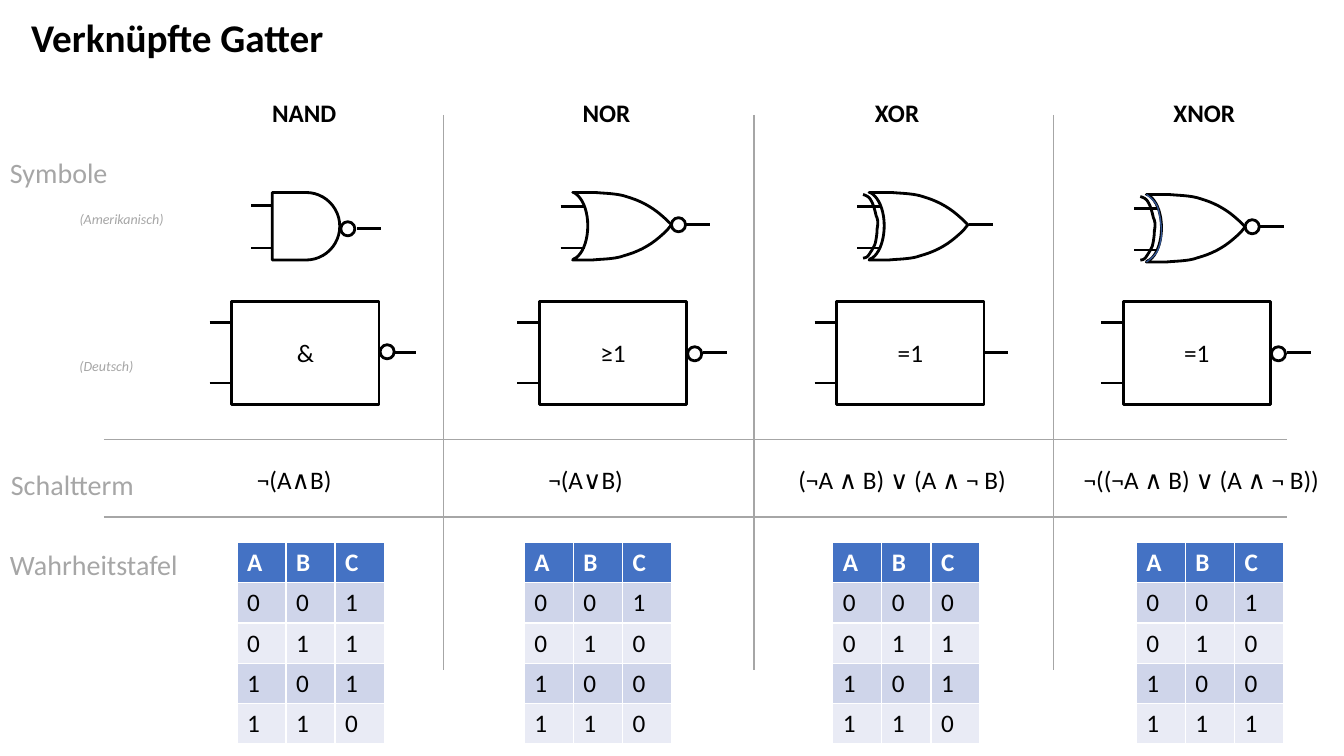
from collections import namedtuple

from lxml import etree
from pptx import Presentation
from pptx.dml.color import RGBColor
from pptx.enum.shapes import MSO_CONNECTOR, MSO_SHAPE
from pptx.enum.text import MSO_ANCHOR, MSO_AUTO_SIZE, PP_ALIGN
from pptx.oxml.ns import qn
from pptx.util import Emu, Pt

STRAIGHT = MSO_CONNECTOR.STRAIGHT
RECTANGLE = MSO_SHAPE.RECTANGLE
ELLIPSE = MSO_SHAPE.OVAL
DELAY = MSO_SHAPE.FLOWCHART_DELAY
MIDDLE = MSO_ANCHOR.MIDDLE
CENTER = PP_ALIGN.CENTER
GROW = MSO_AUTO_SIZE.SHAPE_TO_FIT_TEXT
RIGHT_SIDE = 3

EMU_PER_PX = 9144
FONT = "Calibri"
BLACK, WHITE, GREY, NAVY = "000000", "FFFFFF", "A6A6A6", "325491"
HEADER_FILL, BAND_FILLS = "4472C4", ("CFD5EA", "E9EBF5")
LEAD_LENGTH = 24
BUBBLE_SIZE = 14
CURVE_STEPS = 10

OR_BODY = [
    [(0, 0)], [(22, 0)],
    [(33, 1), (44, 1), (53, 4)], [(70, 9), (82, 16), (96, 30)],
    [(98, 32)], [(94, 37)],
    [(80, 51), (68, 58), (50, 63)], [(42, 66), (30, 66), (19, 67)],
    [(0, 67)], [(1, 66)],
    [(9, 63), (15, 49), (15, 33)], [(15, 17), (9, 4), (1, 0)],
]
EXCLUSIVE_ARC = [
    [(-6, 2)],
    [(-3, 3), (0, 4), (2, 8)], [(4, 11), (6, 18), (7, 23)],
    [(9, 27), (9, 31), (8, 36)], [(8, 41), (7, 47), (6, 51)],
    [(4, 56), (1, 60), (-1, 63)], [(-3, 65), (-5, 65), (-6, 65)],
]
BODY_ARC = [
    [(0, 0)],
    [(4, 3), (8, 6), (11, 12)], [(13, 18), (15, 30), (15, 38)],
    [(15, 45), (13, 51), (11, 56)], [(8, 61), (4, 64), (0, 67)],
]

Gate = namedtuple("Gate", "name name_box term term_box table_left outputs "
                          "sign box_left bubble_top lead_gap")
GATES = [
    Gate("NAND", (260, 85), "¬(A∧B)", (245, 97), 235, "1110", "&", 230, 342, 159),
    Gate("NOR", (568, 68), "¬(A∨B)", (534, 97), 520, "1000", "≥1", 535, 344, 162),
    Gate("XOR", (858, 64), "(¬A ∧ B) ∨ (A ∧ ¬ B)", (782, 230), 826, "0110",
         "=1", 830, None, None),
    Gate("XNOR", (1154, 82), "¬((¬A ∧ B) ∨ (A ∧ ¬ B))", (1065, 263), 1127, "1001",
         "=1", 1114, 344, 162),
]


def px(value):
    return Emu(round(value * EMU_PER_PX))


def color(value):
    return RGBColor.from_string(value)


def style_text(paragraph, size, text_color, bold=False, italic=False):
    for run in paragraph.runs:
        font = run.font
        font.name, font.size = FONT, Pt(size)
        font.bold, font.italic = bold, italic
        font.color.rgb = color(text_color)


def style_outline(shape, line_color=BLACK, width=2, fill=WHITE):
    shape.shadow.inherit = False
    shape.line.color.rgb = color(line_color)
    shape.line.width = Pt(width)
    if fill:
        shape.fill.solid()
        shape.fill.fore_color.rgb = color(fill)
    else:
        shape.fill.background()


def add_label(slide, text, left, top, width, height, size,
              text_color=BLACK, bold=False, italic=False):
    frame = slide.shapes.add_textbox(px(left), px(top), px(width), px(height)).text_frame
    frame.word_wrap = False
    frame.auto_size = GROW
    frame.text = text
    style_text(frame.paragraphs[0], size, text_color, bold, italic)


def add_line(slide, x1, y1, x2, y2, line_color=BLACK, width=2):
    line = slide.shapes.add_connector(STRAIGHT, px(x1), px(y1), px(x2), px(y2))
    line.line.color.rgb = color(line_color)
    line.line.width = Pt(width)
    etree.SubElement(line._element.spPr, qn("a:effectLst"))
    return line


def add_lead(slide, left, y):
    return add_line(slide, left, y, left + LEAD_LENGTH, y)


def add_solid(slide, kind, left, top, width, height):
    shape = slide.shapes.add_shape(kind, px(left), px(top), px(width), px(height))
    style_outline(shape)
    return shape


def add_bubble(slide, left, top):
    add_solid(slide, ELLIPSE, left, top, BUBBLE_SIZE, BUBBLE_SIZE)


def bezier_points(start, first, second, end):
    for step in range(1, CURVE_STEPS + 1):
        t = step / CURVE_STEPS
        weights = ((1 - t) ** 3, 3 * t * (1 - t) ** 2, 3 * t * t * (1 - t), t ** 3)
        yield tuple(sum(weight * point[axis] for weight, point
                        in zip(weights, (start, first, second, end)))
                    for axis in (0, 1))


def add_outline(slide, segments, left, top, closed=False, **style):
    points = list(segments[0])
    for segment in segments[1:]:
        if len(segment) == 3:
            points.extend(bezier_points(points[-1], *segment))
        else:
            points.extend(segment)
    corners = [(px(left + x), px(top + y)) for x, y in points]
    builder = slide.shapes.build_freeform(*corners[0])
    builder.add_line_segments(corners[1:], close=closed)
    style_outline(builder.convert_to_shape(), **style)


def add_and_symbol(slide, left, top):
    for offset in (13, 55):
        add_lead(slide, left - 21, top + offset)
    add_lead(slide, left + 84, top + 36)
    add_bubble(slide, left + 68, top + 29)
    add_solid(slide, DELAY, left, top, 67, 67)


def add_or_symbol(slide, left, top, exclusive=False, negated=False):
    add_outline(slide, OR_BODY, left, top, closed=True)
    for offset in (14, 55):
        add_lead(slide, left - 12, top + offset)
    add_lead(slide, left + (112 if negated else 99), top + 32)
    if negated:
        add_bubble(slide, left + 98, top + 25)
    if exclusive:
        add_outline(slide, EXCLUSIVE_ARC, left, top, fill=None)
    if exclusive and negated:
        add_outline(slide, BODY_ARC, left, top, line_color=NAVY, width=1, fill=None)


def add_box_symbol(slide, gate):
    left = gate.box_left
    for y in (320, 380):
        add_lead(slide, left - 22, y)
    box = add_solid(slide, RECTANGLE, left, 299, 146, 102)
    frame = box.text_frame
    frame.text = gate.sign
    frame.vertical_anchor = MIDDLE
    frame.paragraphs[0].alignment = CENTER
    style_text(frame.paragraphs[0], 18, BLACK)
    if gate.bubble_top:
        add_lead(slide, left + gate.lead_gap, 350)
        add_bubble(slide, left + 147, gate.bubble_top)
    else:
        add_lead(slide, left + 146, 350).begin_connect(box, RIGHT_SIDE)


def add_truth_table(slide, left, outputs):
    rows = ["ABC"] + [f"{index:02b}{output}" for index, output in enumerate(outputs)]
    table = slide.shapes.add_table(5, 3, px(left), px(538), px(146), px(200)).table
    for row_index, row in enumerate(rows):
        header = row_index == 0
        fill = HEADER_FILL if header else BAND_FILLS[(row_index - 1) % 2]
        for column_index, value in enumerate(row):
            cell = table.cell(row_index, column_index)
            cell.text = value
            cell.fill.solid()
            cell.fill.fore_color.rgb = color(fill)
            style_text(cell.text_frame.paragraphs[0], 18,
                       WHITE if header else BLACK, bold=header)


def add_gate_column(slide, gate):
    name_left, name_width = gate.name_box
    term_left, term_width = gate.term_box
    add_label(slide, gate.name, name_left, 92, name_width, 40, 18, bold=True)
    add_box_symbol(slide, gate)
    add_label(slide, gate.term, term_left, 456, term_width, 40, 18)
    add_truth_table(slide, gate.table_left, gate.outputs)


def main():
    presentation = Presentation()
    presentation.slide_width, presentation.slide_height = px(1333), px(750)
    slide = presentation.slides.add_slide(presentation.slide_layouts[6])

    add_label(slide, "Verknüpfte Gatter", 21, 8, 316, 57, 28, bold=True)
    add_and_symbol(slide, 270, 191)
    add_or_symbol(slide, 568, 191, negated=True)
    add_or_symbol(slide, 862, 191, exclusive=True)
    add_or_symbol(slide, 1137, 193, exclusive=True, negated=True)
    for gate in GATES:
        add_gate_column(slide, gate)

    for text, left, top, width in (("Symbole", 0, 149, 118), ("Schaltterm", 1, 459, 144),
                                   ("Wahrheitstafel", 0, 538, 188)):
        add_label(slide, text, left, top, width, 44, 20, GREY)
    for text, top, width in (("(Amerikanisch)", 204, 105), ("(Deutsch)", 350, 74)):
        add_label(slide, text, 69, top, width, 27, 10, GREY, italic=True)
    for x in (440, 748, 1045):
        add_line(slide, x, 114, x, 665, GREY, 1)
    for y in (436, 513):
        add_line(slide, 103, y, 1276, y, GREY, 1)

    presentation.save("out.pptx")


if __name__ == "__main__":
    main()
